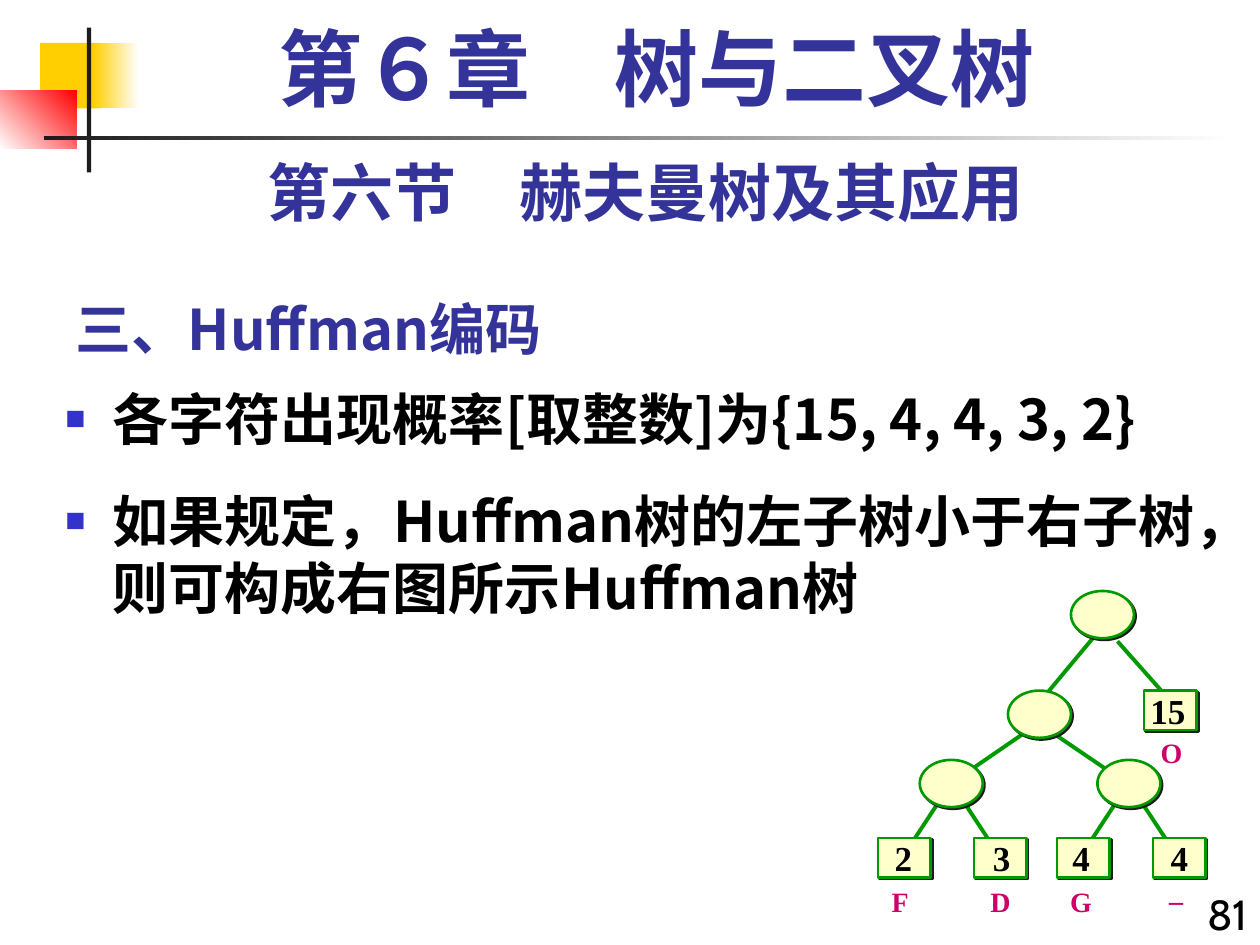
from lxml import etree
from pptx import Presentation
from pptx.dml.color import RGBColor
from pptx.enum import shapes, text
from pptx.oxml import ns
from pptx.util import Pt

THEME = {
    "sans": "Cabin", "cjk": "Noto Sans CJK SC", "serif": "Times New Roman",
    "navy": "333399", "ink": "000000", "dark": "1C1C1C", "bullet": "3333CC",
    "yellow": "FFCF01", "red": "FF0000", "white": "FFFFFF",
    "node": "FFFFCC", "branch": "009900", "letter": "CC0066",
    "chapter": 48, "section": 36, "body": 32, "page": 24, "number": 20, "code": 16,
}
CHAPTER = "第６章　树与二叉树"
SECTION = "第六节　赫夫曼树及其应用"
HEADING = "三、Huffman编码"
POINTS = [
    "各字符出现概率[取整数]为{15, 4, 4, 3, 2}",
    "如果规定，Huffman树的左子树小于右子树，则可构成右图所示Huffman树",
]
# left, top, width, height, colours, clockwise gradient angle
DECORATION = [
    (23, 24.5, 34.5, 37.5, ["yellow"], 0),
    (53.3, 24.5, 26, 37.5, ["yellow", "white"], 0),
    (0, 51.8, 44, 33.1, ["white", "red"], 315),
    (49.7, 15.8, 2.5, 82.8, ["dark"], 0),
    (25.2, 77.8, 680.4, 2.5, ["dark", "white"], 0),
]
NODE_SIZE, LEAF_SIZE = (36, 27), (30, 22.5)
INNER_NODES = [(612, 337.7), (576, 394.6)]
LOWEST_NODES = [(525.6, 434.2), (627.1, 434.2)]
UPPER_EDGES = [
    (638.6, 366.5, 671.8, 403.9), (627.8, 360.7, 599, 395.3),
    (599.8, 417.6, 633.6, 440.6), (588.2, 416.9, 553.7, 440.6),
]
# number, letter, left, top, number centre, letter centre, letter top
LEAVES = [
    ("15", "O", 653.8, 394.6, 667.4, 669.2, 416.9),
    ("2", "F", 501.8, 478.8, 516.2, 514.4, 501.8),
    ("3", "D", 556.6, 478.8, 572.4, 571.7, 501.8),
    ("4", "G", 604.1, 478.8, 617.8, 617.4, 501.8),
    ("4", "_", 658.8, 478.8, 673.9, 672.1, 495.4),
]


def color(name):
    return RGBColor.from_string(THEME[name])


def place(box, left, top, width, height):
    box.left, box.top, box.width, box.height = map(Pt, (left, top, width, height))


def add_span(para, words, size, ink, font, bold=True):
    span = para.add_run()
    span.text = words
    span.font.size, span.font.bold = Pt(THEME[size]), bold
    span.font.color.rgb = color(ink)
    span.font.name = THEME[font]
    east_asian = etree.SubElement(span.font._element, ns.qn("a:ea"))
    east_asian.set("typeface", THEME["cjk"])


def add_label(parent, frame, words, size, ink, font, align=text.PP_ALIGN.CENTER,
              wrap=True, bold=True):
    box = parent.add_textbox(*map(Pt, frame))
    body = box.text_frame
    body.word_wrap = wrap
    body.vertical_anchor = text.MSO_ANCHOR.TOP if wrap else text.MSO_ANCHOR.MIDDLE
    para = body.paragraphs[0]
    para.alignment = align
    add_span(para, words, size, ink, font, bold)
    return para


def add_decoration(page):
    for *frame, colors, angle in DECORATION:
        block = page.shapes.add_shape(shapes.MSO_SHAPE.RECTANGLE, *map(Pt, frame))
        block.shadow.inherit = False
        block.line.fill.background()
        if len(colors) == 1:
            block.fill.solid()
            block.fill.fore_color.rgb = color(colors[0])
            continue
        block.fill.gradient()
        block.fill.gradient_angle = (360 - angle) % 360
        for stop, name in zip(block.fill.gradient_stops, colors):
            stop.color.rgb = color(name)


def add_bullet(para):
    props = para._p.get_or_add_pPr()
    props.set("marL", str(Pt(27)))
    props.set("indent", str(-Pt(27)))
    tint = etree.SubElement(props, ns.qn("a:buClr"))
    etree.SubElement(tint, ns.qn("a:srgbClr")).set("val", THEME["bullet"])
    etree.SubElement(props, ns.qn("a:buSzPct")).set("val", "60000")
    etree.SubElement(props, ns.qn("a:buChar")).set("char", "■")


def add_edge(tree, *ends):
    edge = tree.add_connector(shapes.MSO_CONNECTOR.STRAIGHT, *map(Pt, ends))
    edge.line.color.rgb = color("branch")
    edge.line.width = Pt(2.25)
    etree.SubElement(edge._element.spPr, ns.qn("a:effectLst"))


def add_node(tree, kind, left, top, size):
    node = tree.add_shape(kind, *map(Pt, (left, top, *size)))
    node.fill.solid()
    node.fill.fore_color.rgb = color("node")
    node.line.color.rgb = color("branch")
    node.line.width = Pt(1.5)
    node.shadow.inherit = False
    effects = node._element.spPr.find(ns.qn("a:effectLst"))
    shadow = etree.SubElement(effects, ns.qn("a:outerShdw"), blurRad="0",
                              dist=str(Pt(1.4)), dir="2700000", algn="ctr", rotWithShape="0")
    etree.SubElement(shadow, ns.qn("a:srgbClr")).set("val", THEME["dark"])


def add_tree(page):
    tree = page.shapes.add_group_shape().shapes
    for ends in UPPER_EDGES:
        add_edge(tree, *ends)
    for left, top in LOWEST_NODES:
        middle = left + NODE_SIZE[0] / 2
        for side in (-1, 1):
            add_edge(tree, middle + 6 * side, top + 22.3, middle + 24 * side, top + 49.7)
    for left, top in INNER_NODES + LOWEST_NODES:
        add_node(tree, shapes.MSO_SHAPE.OVAL, left, top, NODE_SIZE)
    for number, letter, left, top, number_x, letter_x, letter_top in LEAVES:
        add_node(tree, shapes.MSO_SHAPE.RECTANGLE, left, top, LEAF_SIZE)
        width = 14.4 + 10 * len(number)
        add_label(tree, (number_x - width / 2, top - 4.5, width, 31.5),
                  number, "number", "ink", "serif", wrap=False)
        add_label(tree, (letter_x - 13, letter_top, 26, 26.6),
                  letter, "code", "letter", "serif", wrap=False)


def main():
    deck = Presentation()
    deck.slide_width, deck.slide_height = Pt(720), Pt(540)
    page = deck.slides.add_slide(deck.slide_layouts[1])
    add_decoration(page)

    title, body = page.shapes.title, page.placeholders[1]
    place(title, 36, 156.2, 450, 54)
    place(body, 30.2, 216, 689.8, 324)
    for box, anchor in ((title, text.MSO_ANCHOR.BOTTOM), (body, text.MSO_ANCHOR.TOP)):
        box.text_frame.auto_size = text.MSO_AUTO_SIZE.NONE
        box.text_frame.vertical_anchor = anchor
    heading = title.text_frame.paragraphs[0]
    heading.alignment = text.PP_ALIGN.LEFT
    add_span(heading, HEADING, "body", "navy", "cjk")
    for index, words in enumerate(POINTS):
        para = body.text_frame.paragraphs[0] if index == 0 else body.text_frame.add_paragraph()
        add_bullet(para)
        para.space_before = Pt(20 if index else 0)
        add_span(para, words, "body", "ink", "cjk")

    add_label(page.shapes, (671.8, 504, 48.2, 42.5), "81", "page", "ink", "sans",
              text.PP_ALIGN.RIGHT, bold=False)
    add_label(page.shapes, (36, 84.2, 666, 50.4), SECTION, "section", "navy", "sans")
    chapter = add_label(page.shapes, (48.2, 12.2, 653.8, 59.8), CHAPTER,
                        "chapter", "navy", "serif")
    chapter.line_spacing = 0.9
    add_tree(page)
    deck.save("out.pptx")


if __name__ == "__main__":
    main()
